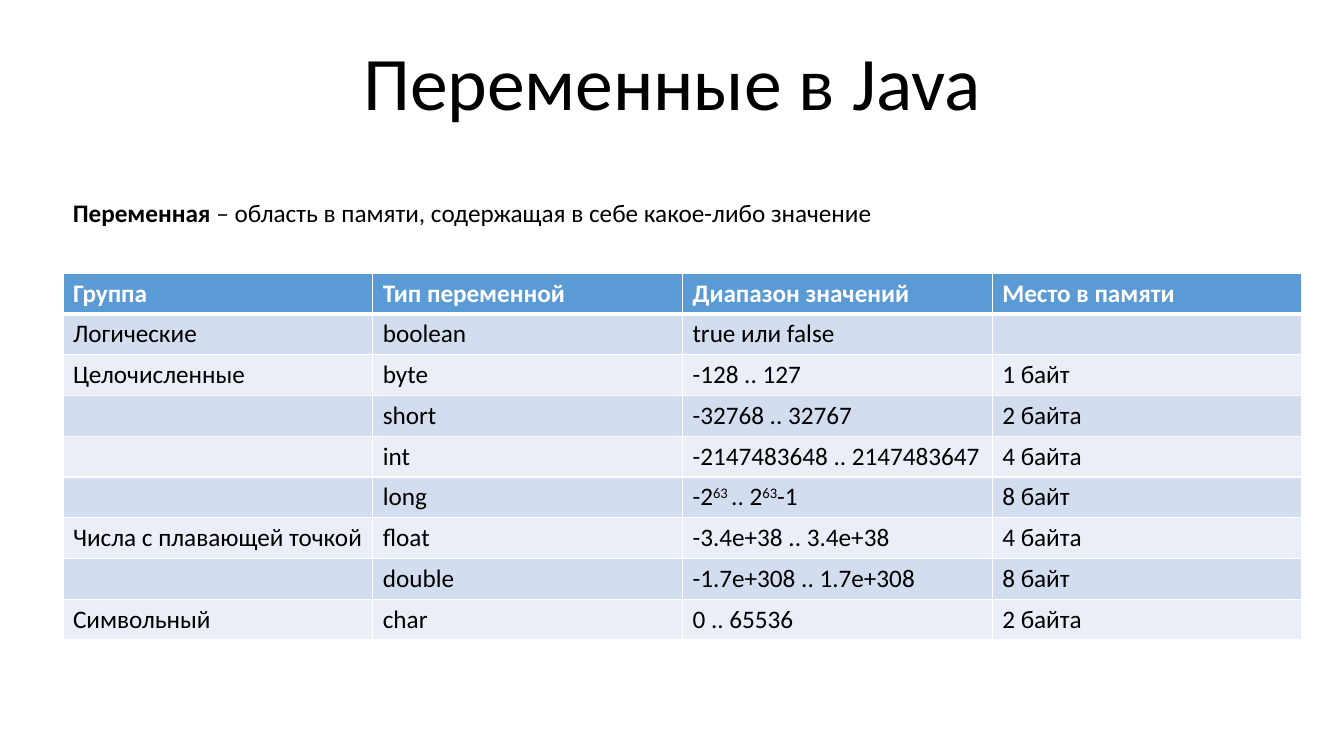
from lxml import etree
from pptx import Presentation
from pptx.dml.color import RGBColor
from pptx.enum.text import MSO_ANCHOR, PP_ALIGN
from pptx.oxml.ns import qn
from pptx.util import Inches, Pt

BLACK = RGBColor(0x00, 0x00, 0x00)
WHITE = RGBColor(0xFF, 0xFF, 0xFF)
BLUE = RGBColor(0x5B, 0x9B, 0xD5)
BANDS = (RGBColor(0xD2, 0xDE, 0xEF), RGBColor(0xEA, 0xEF, 0xF7))
CENTER = PP_ALIGN.CENTER
BOTTOM = MSO_ANCHOR.BOTTOM
TITLE_ONLY = 5
COLS, ROWS = 64, 75
RAISED = "^"  # toggles superscript inside a text


class Deck:
    font = "Calibri"
    size = 18
    edge = 1

    def __init__(self):
        self.prs = Presentation()
        self.prs.slide_width, self.prs.slide_height = Inches(13.33), Inches(7.5)
        self.slide = self.prs.slides.add_slide(self.prs.slide_layouts[TITLE_ONLY])

    def box(self, col, row, wide, high):
        """Turn grid units into left, top, width and height."""
        x, y = self.prs.slide_width / COLS, self.prs.slide_height / ROWS
        return int(col * x), int(row * y), int(wide * x), int(high * y)

    def label(self, para, text, color=BLACK, bold=False, size=None):
        for i, part in enumerate(text.split(RAISED)):
            if not part:
                continue
            run = para.add_run()
            run.text = part
            run.font.name, run.font.size = self.font, Pt(size or self.size)
            run.font.bold, run.font.color.rgb = bold, color
            if i % 2:
                run.font._element.set("baseline", "30000")

    def title(self, text, *area):
        shape = self.slide.shapes.title
        shape.left, shape.top, shape.width, shape.height = self.box(*area)
        frame = shape.text_frame
        frame.vertical_anchor = BOTTOM
        para = frame.paragraphs[0]
        para.alignment, para.line_spacing = CENTER, 0.9
        self.label(para, text, size=54)

    def define(self, term, text, *area):
        frame = self.slide.shapes.add_textbox(*self.box(*area)).text_frame
        frame.word_wrap = True
        para = frame.paragraphs[0]
        self.label(para, term, bold=True)
        self.label(para, text)

    def border(self, cell, base):
        props = cell._tc.get_or_add_tcPr()
        for i, side in enumerate(("lnL", "lnR", "lnT", "lnB")):
            wide = base if side == "lnB" else self.edge
            line = etree.Element(qn("a:" + side), w=str(Pt(wide)))
            fill = etree.SubElement(line, qn("a:solidFill"))
            etree.SubElement(fill, qn("a:srgbClr"), val=str(WHITE))
            props.insert(i, line)

    def table(self, data, *area):
        left, top, wide, high = self.box(*area)
        count = len(data[0])
        grid = self.slide.shapes.add_table(
            len(data), count, left, top, wide, high).table
        for r, texts in enumerate(data):
            head = r == 0
            for c, text in enumerate(texts):
                cell = grid.cell(r, c)
                cell.fill.solid()
                cell.fill.fore_color.rgb = BLUE if head else BANDS[(r - 1) % 2]
                self.border(cell, 3 if head else self.edge)
                self.label(cell.text_frame.paragraphs[0], text,
                           WHITE if head else BLACK, head)


TYPES = (
    ("Группа", "Тип переменной", "Диапазон значений", "Место в памяти"),
    ("Логические", "boolean", "true или false", ""),
    ("Целочисленные", "byte", "-128 .. 127", "1 байт"),
    ("", "short", "-32768 .. 32767", "2 байта"),
    ("", "int", "-2147483648 .. 2147483647", "4 байта"),
    ("", "long", "-2^63 ^.. 2^63^-1", "8 байт"),
    ("Числа с плавающей точкой", "float", "-3.4e+38 .. 3.4e+38", "4 байта"),
    ("", "double", "-1.7e+308 .. 1.7e+308", "8 байт"),
    ("Символьный", "char", "0 .. 65536", "2 байта"),
)

deck = Deck()

# Heading and definition
deck.title("Переменные в Java", 8, 3.1, 48, 10)
deck.define("Переменная", " – область в памяти, содержащая в себе "
            "какое-либо значение", 3, 19.1, 59, 4)

# Table of variable types
deck.table(TYPES, 3, 27.1, 59, 36.4)

deck.prs.save("out.pptx")
